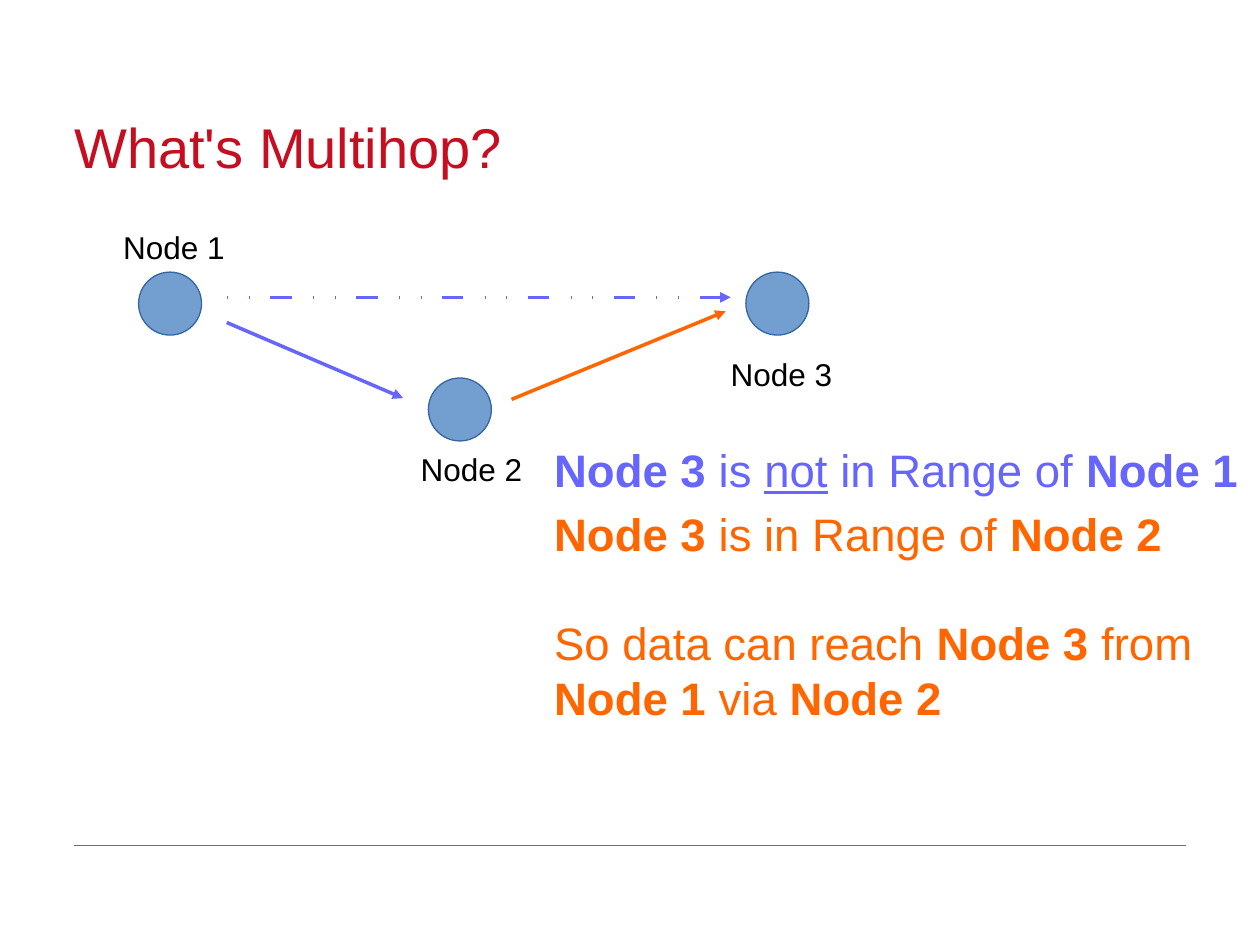
from lxml import etree
from pptx import Presentation
from pptx.dml.color import RGBColor
from pptx.enum.shapes import MSO_CONNECTOR, MSO_SHAPE
from pptx.enum.text import MSO_ANCHOR
from pptx.oxml.ns import qn
from pptx.util import Inches, Pt

RED = RGBColor(0xC5, 0x0E, 0x1F)
GRAY = RGBColor(0x71, 0x71, 0x71)
BLACK = RGBColor(0, 0, 0)
NODE_FILL = RGBColor(0x72, 0x9F, 0xCF)
NODE_LINE = RGBColor(0x34, 0x65, 0xA4)
VIOLET = RGBColor(0x66, 0x66, 0xFF)
ORANGE = RGBColor(0xFF, 0x66, 0x00)

presentation = Presentation()
presentation.slide_width = Inches(10)
presentation.slide_height = Inches(7.5)
slide = presentation.slides.add_slide(presentation.slide_layouts[6])


def add_text(left, top, width, height, lines, size, color, wrap=True):
    """Each line is a list of runs; "*" marks bold and "_" underline."""
    box = slide.shapes.add_textbox(Inches(left), Inches(top), Inches(width), Inches(height))
    frame = box.text_frame
    frame.word_wrap = wrap
    for index, runs in enumerate(lines):
        paragraph = frame.paragraphs[0] if index == 0 else frame.add_paragraph()
        paragraph.font.name = "Arial"
        paragraph.font.size = Pt(size)
        paragraph.font.color.rgb = color
        for text in runs:
            run = paragraph.add_run()
            run.text = text.strip("*_")
            if text.startswith("*"):
                run.font.bold = True
            if text.startswith("_"):
                run.font.underline = True
    return frame


def add_line(start, end, color, width=0, arrow=True):
    line = slide.shapes.add_connector(
        MSO_CONNECTOR.STRAIGHT, *[Inches(value) for value in start + end])
    line.line.color.rgb = color
    line.line.width = Pt(width)
    properties = line._element.spPr
    etree.SubElement(properties, qn("a:effectLst"))
    outline = properties.find(qn("a:ln"))
    if arrow:
        etree.SubElement(outline, qn("a:tailEnd"), type="triangle")
    return outline


# Footer rule
add_line((0.59, 6.71), (9.41, 6.71), GRAY, 0.75, arrow=False)

# Title
title = add_text(0.59, 0.8, 8.82, 0.63, [["What's Multihop?"]], 32, RED)
title.margin_left = title.margin_right = title.margin_top = title.margin_bottom = 0
title.vertical_anchor = MSO_ANCHOR.BOTTOM
title.paragraphs[0].line_spacing = Pt(30)

# Nodes with their labels
nodes = [
    ("Node 1", 1.1, 2.16, 0.88, 1.76),
    ("Node 2", 3.4, 3, 3.24, 3.52),
    ("Node 3", 5.92, 2.16, 5.7, 2.77),
]
for name, left, top, label_left, label_top in nodes:
    node = slide.shapes.add_shape(
        MSO_SHAPE.OVAL, Inches(left), Inches(top), Inches(0.5), Inches(0.5))
    node.shadow.inherit = False
    node.fill.solid()
    node.fill.fore_color.rgb = NODE_FILL
    node.line.color.rgb = NODE_LINE
    node.line.width = Pt(0)
    add_text(label_left, label_top, 1.5, 0.4, [[name]], 18, BLACK)

# Hops via node 2
add_line((1.8, 2.56), (3.2, 3.16), VIOLET)
add_line((4.06, 3.17), (5.76, 2.47), ORANGE)

# Direct link out of range: two dots and a dash
outline = add_line((1.8, 2.36), (5.8, 2.36), VIOLET)
dashes = etree.Element(qn("a:custDash"))
for length in (20000, 20000, 600000):
    etree.SubElement(dashes, qn("a:ds"), d=str(length), sp="600000")
outline.find(qn("a:tailEnd")).addprevious(dashes)

# Explanation
add_text(4.3, 3.46, 5.63, 0.53,
         [["*Node 3", " is ", "_not", " in Range of ", "*Node 1"]],
         26, VIOLET, wrap=False)
explanation = add_text(4.3, 3.97, 5.27, 1.83, [
    ["*Node 3", " is in Range of ", "*Node 2"],
    ["So data can reach ", "*Node 3", " from"],
    ["*Node 1", " via ", "*Node 2"],
], 26, ORANGE, wrap=False)
explanation.paragraphs[1].space_before = Pt(31)

presentation.save("out.pptx")
